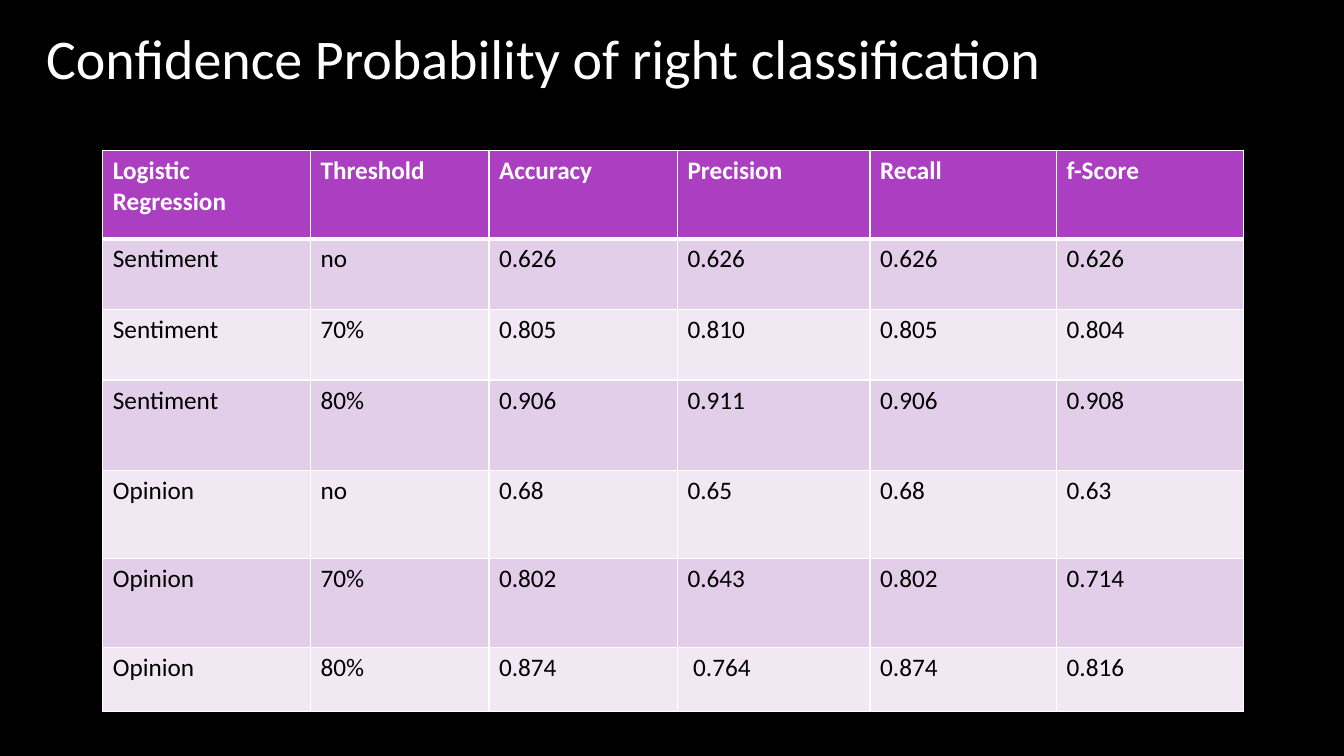
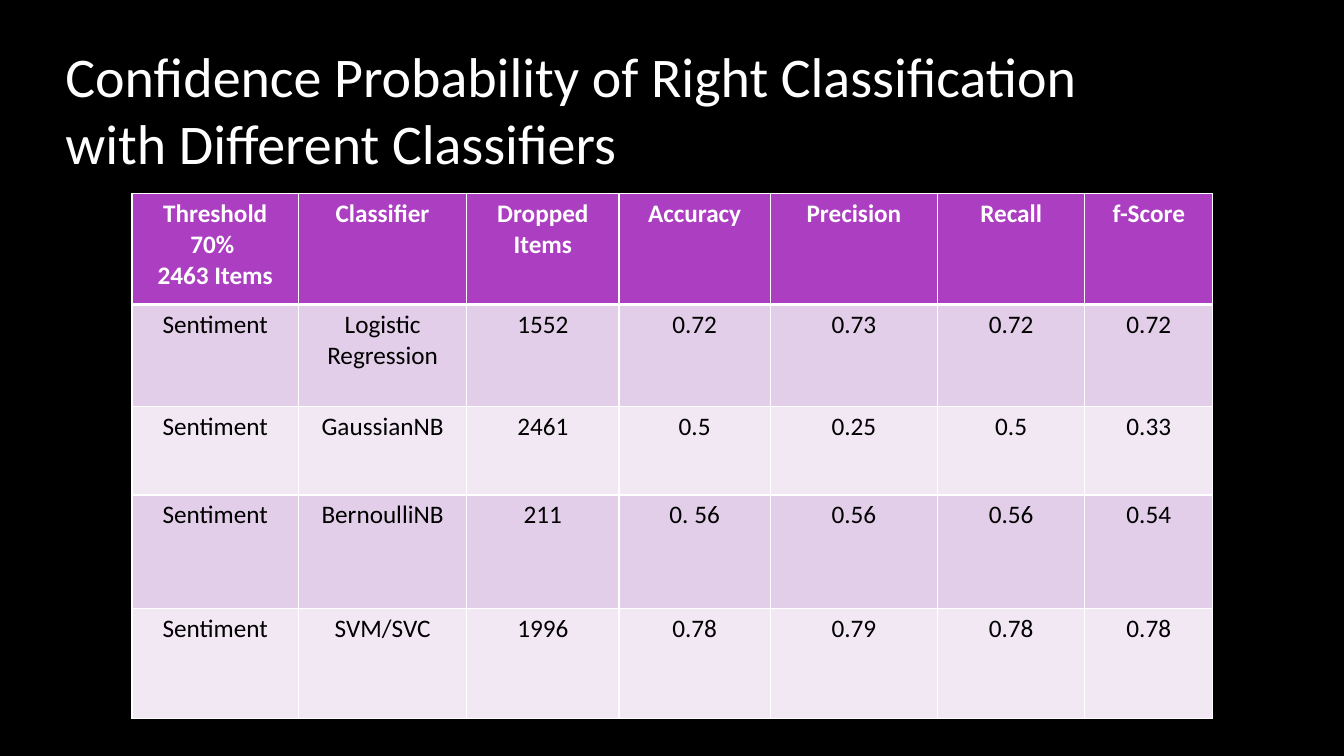
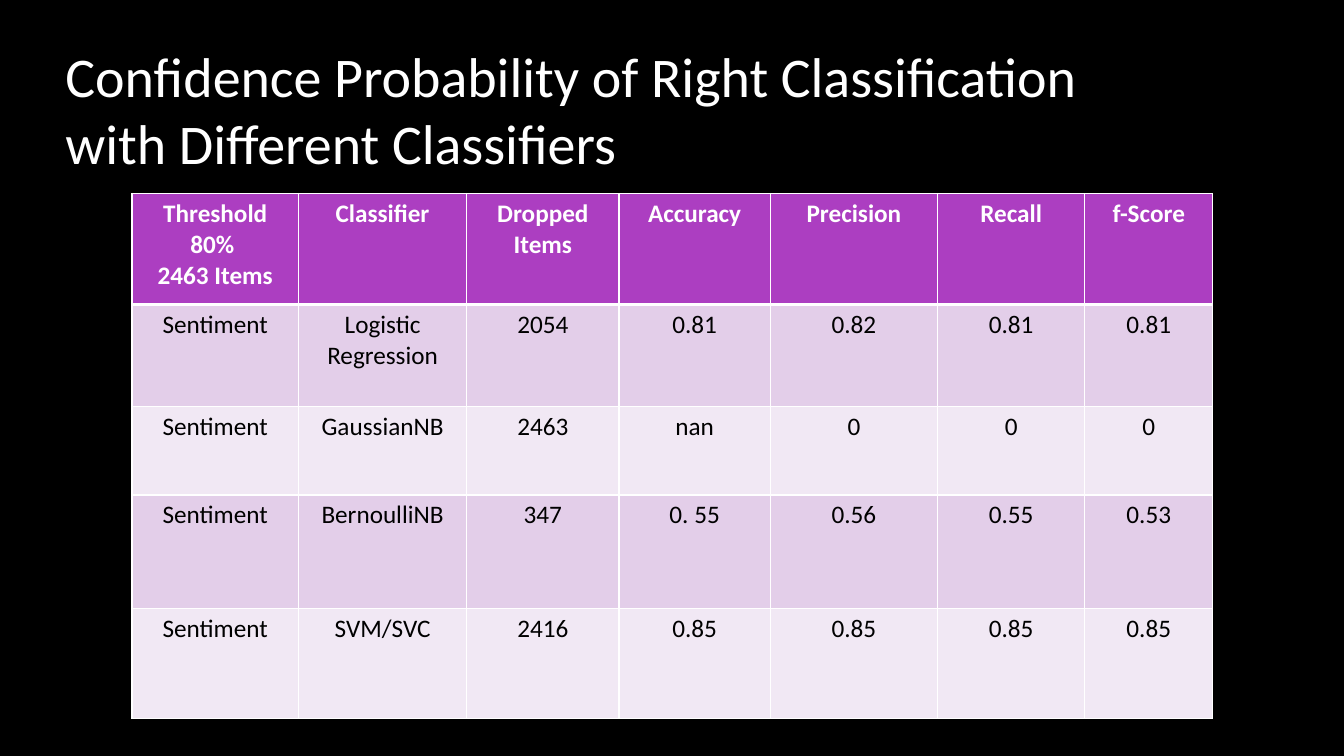
from lxml import etree
from pptx import Presentation
from pptx.dml.color import RGBColor
from pptx.enum.text import MSO_AUTO_SIZE, PP_ALIGN
from pptx.oxml.ns import qn
from pptx.util import Inches, Pt

LEFT, CENTER = PP_ALIGN.LEFT, PP_ALIGN.CENTER
FIT_SHAPE = MSO_AUTO_SIZE.SHAPE_TO_FIT_TEXT

FONT = "Calibri"
TITLE_SIZE, TABLE_SIZE = 40, 18
TITLE_WIDTH = 10.26
COLORS = {
    "background": "000000",
    "title": "FFFFFF",
    "header": "AC3EC1",
    "header_text": "FFFFFF",
    "band_dark": "E3CEE9",
    "band_light": "F1E8F4",
    "body_text": "000000",
    "border": "FFFFFF",
}

SCORES = ["Accuracy", "Precision", "Recall", "f-Score"]

LOGISTIC_ROWS = [
    ["Logistic Regression", "Threshold", *SCORES],
    ["Sentiment", "no", "0.626", "0.626", "0.626", "0.626"],
    ["Sentiment", "70%", "0.805", "0.810", "0.805", "0.804"],
    ["Sentiment", "80%", "0.906", "0.911", "0.906", "0.908"],
    ["Opinion", "no", "0.68", "0.65", "0.68", "0.63"],
    ["Opinion", "70%", "0.802", "0.643", "0.802", "0.714"],
    ["Opinion", "80%", "0.874", " 0.764", "0.874", "0.816"],
]

CLASSIFIERS = ["Logistic Regression", "GaussianNB", "BernoulliNB", "SVM/SVC"]
# Per threshold, one row for each classifier: dropped items, then the scores
CLASSIFIER_RESULTS = {
    "70%": [
        ["1552", "0.72", "0.73", "0.72", "0.72"],
        ["2461", "0.5", "0.25", "0.5", "0.33"],
        ["211", "0. 56", "0.56", "0.56", "0.54"],
        ["1996", "0.78", "0.79", "0.78", "0.78"],
    ],
    "80%": [
        ["2054", "0.81", "0.82", "0.81", "0.81"],
        ["2463", "nan", "0", "0", "0"],
        ["347", "0. 55", "0.56", "0.55", "0.53"],
        ["2416", "0.85", "0.85", "0.85", "0.85"],
    ],
}

LOGISTIC_LAYOUT = {
    "title_at": (0.36, 0.18, 0.77),
    "table_at": (1.02, 1.49),
    "columns": [2.06, 1.77, 1.87, 1.91, 1.85, 1.85],
    "rows": [0.88, 0.7, 0.7, 0.9, 0.87, 0.88, 0.64],
    "align": LEFT,
}
CLASSIFIER_LAYOUT = {
    "title_at": (0.55, 0.36, 1.45),
    "table_at": (1.31, 1.92),
    "columns": [1.65, 1.67, 1.51, 1.5, 1.66, 1.46, 1.27],
    "rows": [1.1, 1.01, 0.88, 1.13, 1.09],
    "align": CENTER,
}


def classifier_rows(threshold):
    header = [f"Threshold\n{threshold} \n2463 Items", "Classifier",
              "Dropped\nItems", *SCORES]
    body = [["Sentiment", name, *values]
            for name, values in zip(CLASSIFIERS, CLASSIFIER_RESULTS[threshold])]
    return [header, *body]


def rgb(name):
    return RGBColor.from_string(COLORS[name])


def write(frame, text, size, color, bold=False, align=LEFT):
    """Put text in the frame, one paragraph a line, in the deck font."""
    frame.text = text
    for paragraph in frame.paragraphs:
        paragraph.alignment = align
        for run in paragraph.runs:
            run.font.name = FONT
            run.font.size = Pt(size)
            run.font.bold = bold
            run.font.color.rgb = rgb(color)


def set_borders(cell, top, bottom):
    """Draw the four cell borders; top and bottom are widths in points."""
    properties = cell._tc.get_or_add_tcPr()
    sides = [("lnL", 1), ("lnR", 1), ("lnT", top), ("lnB", bottom)]
    for position, (side, width) in enumerate(sides):
        line = etree.Element(qn(f"a:{side}"), w=str(Pt(width)))
        fill = etree.SubElement(line, qn("a:solidFill"))
        etree.SubElement(fill, qn("a:srgbClr"), val=COLORS["border"])
        properties.insert(position, line)


def add_title(slide, text, left, top, height):
    box = slide.shapes.add_textbox(Inches(left), Inches(top),
                                   Inches(TITLE_WIDTH), Inches(height))
    box.text_frame.word_wrap = True
    box.text_frame.auto_size = FIT_SHAPE
    write(box.text_frame, text, TITLE_SIZE, "title")


def add_score_table(slide, rows, layout):
    left, top = layout["table_at"]
    widths, heights = layout["columns"], layout["rows"]
    table = slide.shapes.add_table(
        len(rows), len(widths), Inches(left), Inches(top),
        Inches(sum(widths)), Inches(sum(heights))).table
    for column, width in zip(table.columns, widths):
        column.width = Inches(width)
    for r, (values, height) in enumerate(zip(rows, heights)):
        table.rows[r].height = Inches(height)
        is_header = r == 0
        band = "header" if is_header else "band_dark" if r % 2 else "band_light"
        text_color = "header_text" if is_header else "body_text"
        for c, value in enumerate(values):
            cell = table.cell(r, c)
            cell.fill.solid()
            cell.fill.fore_color.rgb = rgb(band)
            set_borders(cell, top=3 if r == 1 else 1, bottom=3 if is_header else 1)
            write(cell.text_frame, value, TABLE_SIZE, text_color,
                  is_header, layout["align"])


def main():
    prs = Presentation()
    prs.slide_width, prs.slide_height = Inches(13.33), Inches(7.5)
    background = prs.slide_master.background.fill
    background.solid()
    background.fore_color.rgb = rgb("background")

    comparison_title = ("Confidence Probability of Right Classification\n"
                        "with Different Classifiers")
    slides = [("Confidence Probability of right classification",
               LOGISTIC_ROWS, LOGISTIC_LAYOUT)]
    slides += [(comparison_title, classifier_rows(threshold), CLASSIFIER_LAYOUT)
               for threshold in CLASSIFIER_RESULTS]
    for title, rows, layout in slides:
        slide = prs.slides.add_slide(prs.slide_layouts[6])
        add_title(slide, title, *layout["title_at"])
        add_score_table(slide, rows, layout)
    prs.save("out.pptx")


if __name__ == "__main__":
    main()
